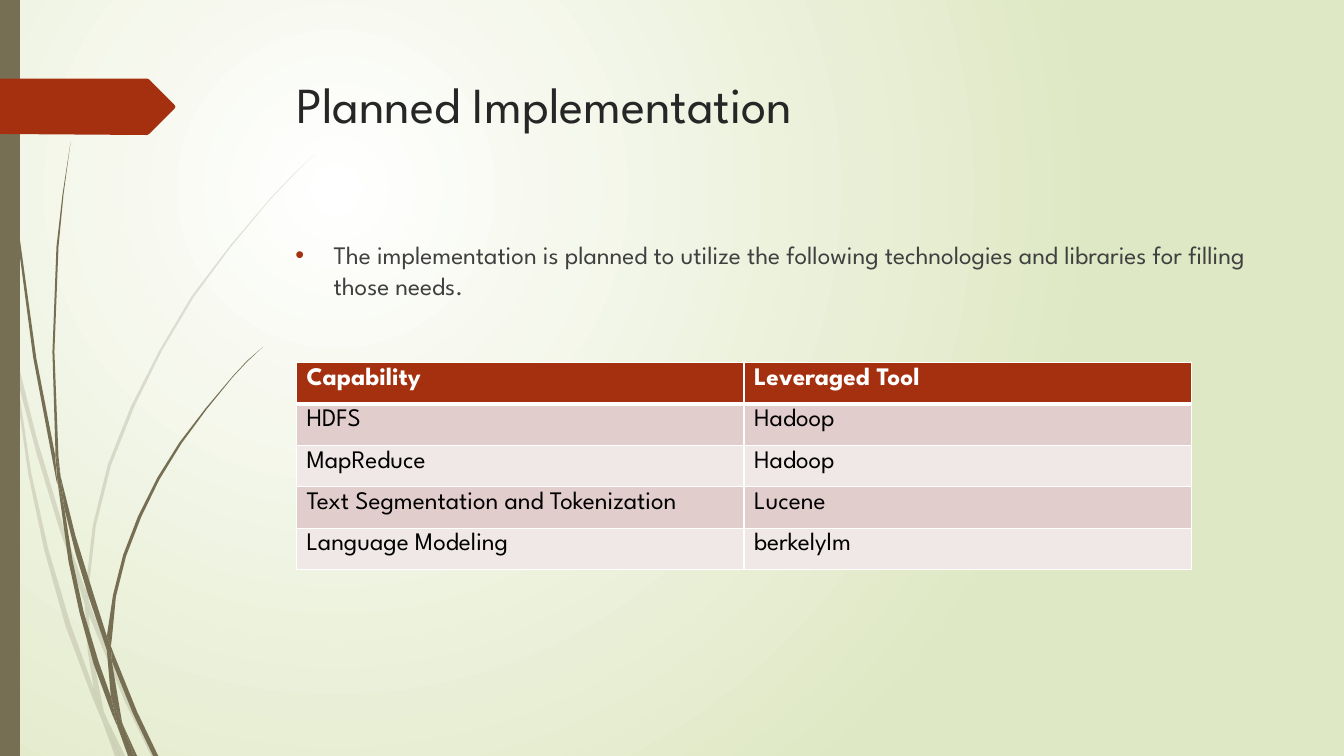
from lxml.etree import SubElement
from pptx import Presentation
from pptx.dml.color import RGBColor
from pptx.enum.text import MSO_ANCHOR
from pptx.oxml import parse_xml
from pptx.oxml.ns import nsdecls, qn
from pptx.util import Inches, Pt

FONT = "League Spartan"
WHITE = RGBColor(0xFF, 0xFF, 0xFF)
BLACK = RGBColor(0x00, 0x00, 0x00)
PALE_GREEN = RGBColor(0xDF, 0xE8, 0xC4)
OLIVE = RGBColor(0x76, 0x6F, 0x54)
RUST = RGBColor(0xA5, 0x30, 0x10)
TITLE_GREY = RGBColor(0x26, 0x26, 0x26)
BODY_GREY = RGBColor(0x40, 0x40, 0x40)
BANDS = (RGBColor(0xE1, 0xCD, 0xCC), RGBColor(0xF0, 0xE8, 0xE7))

FAINT_GRASS = [
    [(0.11, 3.5), (0.09, 3.22), (0, 2.82), (0, 2.99), (0.1, 3.44)],
    [(0.58, 5.22), (0.84, 5.99), (0.85, 5.86), (0.62, 5.2), (0.36, 4.33),
     (0.14, 3.45), (0.17, 3.76), (0.36, 4.49)],
    [(0.92, 6.07), (0.88, 5.96), (0.88, 6.1), (1.23, 6.94), (1.5, 7.5),
     (1.55, 7.5), (1.27, 6.92)],
    [(1.19, 7.5), (1.24, 7.5), (1.05, 7.11)],
    [(0.93, 6.83), (0.7, 6.19), (0.48, 5.45), (0.31, 4.69), (0.17, 3.76),
     (0.11, 3.5), (0.28, 4.7), (0.44, 5.46), (0.65, 6.21), (0.92, 6.93),
     (1.01, 7.14), (0.99, 7.07)],
    [(0.84, 5.99), (0.87, 6.46), (0.93, 6.83), (0.96, 6.92), (1.05, 7.11),
     (1.03, 7.06), (0.91, 6.46), (0.88, 6.1), (0.88, 6.08)],
    [(0.88, 5.84), (0.95, 5.22), (1.1, 4.62), (1.33, 4.04), (1.6, 3.49),
     (1.92, 2.95), (2.29, 2.45), (2.68, 1.98), (2.9, 1.75), (3.12, 1.53),
     (2.89, 1.75), (2.68, 1.97), (2.28, 2.44), (1.9, 2.94), (1.58, 3.48),
     (1.3, 4.03), (1.07, 4.61), (0.92, 5.22), (0.85, 5.84), (0.85, 5.86),
     (0.88, 5.96)],
    [(1.01, 7.14), (1.14, 7.5), (1.19, 7.5)],
    [(0.88, 6.08), (0.88, 5.96), (0.85, 5.86), (0.84, 5.99)],
    [(0.96, 6.92), (0.93, 6.83), (0.99, 7.07), (1.01, 7.14), (1.19, 7.5),
     (1.05, 7.11)],
]
DARK_GRASS = [
    [(0.07, 1.1), (0.17, 2.33), (0.33, 3.55), (0.56, 4.77), (0.57, 4.81),
     (0.55, 4.57), (0.55, 4.53), (0.36, 3.55), (0.19, 2.32), (0.08, 1.09),
     (0.05, 0.48), (0.04, 0), (0.03, 0), (0.04, 0.48)],
    [(0.88, 5.92), (1.06, 6.45), (1.06, 6.31), (0.93, 5.9), (0.75, 5.32),
     (0.6, 4.72), (0.64, 5.05), (0.75, 5.49)],
    [(1.13, 6.49), (1.1, 6.41), (1.11, 6.56), (1.32, 7.08), (1.52, 7.5),
     (1.57, 7.5), (1.36, 7.06)],
    [(1.1, 6.91), (0.98, 6.57), (0.83, 6.07), (0.72, 5.56), (0.64, 5.05),
     (0.57, 4.77), (0.68, 5.57), (0.79, 6.08), (0.93, 6.59), (1.11, 7.08),
     (1.17, 7.22), (1.16, 7.17)],
    [(0.6, 4.72), (0.58, 4.53), (0.54, 3.49), (0.58, 2.45), (0.63, 1.93),
     (0.7, 1.41), (0.62, 1.93), (0.56, 2.45), (0.52, 3.49), (0.55, 4.49)],
    [(1.33, 7.5), (1.36, 7.5), (1.22, 7.19)],
    [(0.57, 4.77), (0.64, 5.05), (0.6, 4.72), (0.55, 4.49), (0.55, 4.53)],
    [(1.11, 6.33), (1.15, 5.92), (1.25, 5.52), (1.4, 5.13), (1.58, 4.76),
     (1.8, 4.4), (2.05, 4.06), (2.31, 3.74), (2.45, 3.59), (2.61, 3.44),
     (2.45, 3.58), (2.31, 3.73), (2.04, 4.05), (1.78, 4.39), (1.56, 4.74),
     (1.37, 5.12), (1.22, 5.51), (1.12, 5.91), (1.06, 6.31), (1.1, 6.41)],
    [(1.17, 7.22), (1.27, 7.5), (1.31, 7.5)],
    [(1.06, 6.45), (1.1, 6.91), (1.16, 7.06), (1.22, 7.19), (1.21, 7.16),
     (1.11, 6.56), (1.09, 6.51)],
    [(1.06, 6.45), (1.09, 6.51), (1.11, 6.56), (1.1, 6.41), (1.06, 6.31)],
    [(1.16, 7.06), (1.1, 6.91), (1.16, 7.17), (1.17, 7.22), (1.3, 7.5),
     (1.33, 7.5), (1.22, 7.19)],
]
MARKER = [(0, 0.78), (1.46, 0.78), (1.48, 0.79), (1.73, 1.04), (1.74, 1.06),
          (1.73, 1.08), (1.48, 1.33), (1.46, 1.34), (0, 1.33)]
TOOLS = [
    ("Capability", "Leveraged Tool"),
    ("HDFS", "Hadoop"),
    ("MapReduce", "Hadoop"),
    ("Text Segmentation and Tokenization", "Lucene"),
    ("Language Modeling", "berkelylm"),
]


def paint_background(slide):
    fill = slide.background.fill
    fill.gradient()
    for stop, color, position in zip(fill.gradient_stops, (WHITE, PALE_GREEN), (0, 1)):
        stop.color.rgb = color
        stop.position = position
    gradient = slide.background._cSld.find(".//" + qn("a:gradFill"))
    linear = gradient.find(qn("a:lin"))
    gradient.replace(linear, parse_xml(
        f'<a:path {nsdecls("a")} path="circle"><a:fillToRect l="50000" t="50000" '
        'r="100000" b="100000"/></a:path>'))


def paint(shape, color, alpha=100):
    shape.shadow.inherit = False
    shape.fill.solid()
    shape.fill.fore_color.rgb = color
    shape.line.fill.background()
    if alpha < 100:
        tint = shape._element.spPr.find(".//" + qn("a:srgbClr"))
        SubElement(tint, qn("a:alpha"), val=str(alpha * 1000))


def add_outline(shapes, points, color, alpha=100):
    corners = [(Inches(x), Inches(y)) for x, y in points]
    builder = shapes.build_freeform(*corners[0])
    builder.add_line_segments(corners[1:], close=True)
    paint(builder.convert_to_shape(), color, alpha)


def add_grass(slide, blades, alpha=100):
    tuft = slide.shapes.add_group_shape()
    for blade in blades:
        add_outline(tuft.shapes, blade, OLIVE, alpha)


def style(paragraph, size, color, bold=False):
    font = paragraph.font
    font.name, font.size, font.bold = FONT, Pt(size), bold
    font.color.rgb = color


def add_text(slide, text, left, top, width, height, size, color):
    frame = slide.shapes.add_textbox(
        Inches(left), Inches(top), Inches(width), Inches(height)).text_frame
    frame.word_wrap = True
    frame.vertical_anchor = MSO_ANCHOR.TOP
    paragraph = frame.paragraphs[0]
    paragraph.text = text
    style(paragraph, size, color)
    return paragraph


def add_bullet(paragraph, color):
    paragraph.space_before = Pt(10)
    properties = paragraph._p.get_or_add_pPr()
    properties.set("marL", str(Inches(0.38)))
    properties.set("indent", str(-Inches(0.38)))
    mark_color = parse_xml(
        f'<a:buClr {nsdecls("a")}><a:srgbClr val="{color}"/></a:buClr>')
    mark_font = parse_xml(f'<a:buFont {nsdecls("a")} typeface="Arial"/>')
    mark = parse_xml(f'<a:buChar {nsdecls("a")} char="•"/>')
    place = list(properties).index(properties.find(qn("a:defRPr")))
    properties[place:place] = [mark_color, mark_font, mark]


def add_borders(cell, top, bottom):
    widths = {"lnL": 1, "lnR": 1, "lnT": top, "lnB": bottom}
    for place, (side, width) in enumerate(widths.items()):
        cell._tc.get_or_add_tcPr().insert(place, parse_xml(
            f'<a:{side} {nsdecls("a")} w="{Pt(width)}"><a:solidFill>'
            f'<a:srgbClr val="{WHITE}"/></a:solidFill></a:{side}>'))


def add_tool_table(slide):
    table = slide.shapes.add_table(
        len(TOOLS), 2, Inches(2.94), Inches(3.6), Inches(8.88), Inches(2.05)).table
    for row, entries in enumerate(TOOLS):
        table.rows[row].height = Inches(0.41)
        header = row == 0
        for column, entry in enumerate(entries):
            cell = table.cell(row, column)
            cell.text = entry
            style(cell.text_frame.paragraphs[0], 18, WHITE if header else BLACK, header)
            cell.fill.solid()
            cell.fill.fore_color.rgb = RUST if header else BANDS[(row - 1) % 2]
            add_borders(cell, 3 if row == 1 else 1, 3 if header else 1)


def main():
    deck = Presentation()
    deck.slide_width, deck.slide_height = Inches(13.33), Inches(7.5)
    slide = deck.slides.add_slide(deck.slide_layouts[6])
    paint_background(slide)
    add_grass(slide, FAINT_GRASS, 20)
    add_grass(slide, DARK_GRASS)
    add_outline(slide.shapes, [(0, 0), (0.2, 0), (0.2, 7.5), (0, 7.5)], OLIVE)
    add_outline(slide.shapes, MARKER, RUST)
    add_text(slide, "Planned Implementation", 2.84, 0.68, 9.75, 1.4, 36, TITLE_GREY)
    intro = add_text(
        slide, "The implementation is planned to utilize the following technologies "
        "and libraries for filling those needs.", 2.83, 2.33, 9.75, 4.13, 18, BODY_GREY)
    add_bullet(intro, RUST)
    add_tool_table(slide)
    deck.save("out.pptx")


if __name__ == "__main__":
    main()
